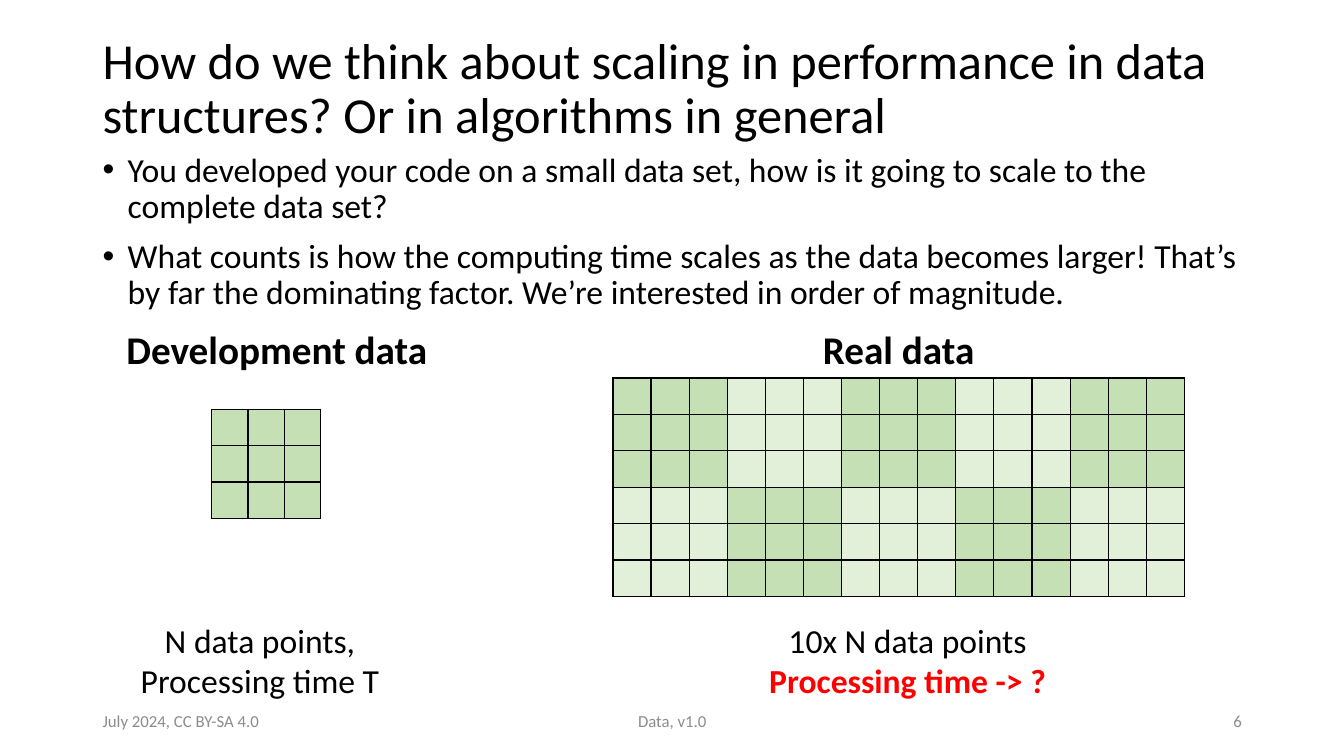
from dataclasses import dataclass

from lxml import etree
from pptx import Presentation
from pptx.dml import color
from pptx.enum import text
from pptx.oxml import ns
from pptx.util import Pt


@dataclass(frozen=True)
class Theme:
    """Colours and type sizes of the slide."""
    font: str = "Calibri"
    ink: str = "000000"
    muted: str = "8C8C8C"
    alert: str = "FF0000"
    dark_cell: str = "C5E0B4"
    light_cell: str = "E2F0D9"
    title: int = 36
    heading: int = 28
    body: int = 24
    footer: int = 12


THEME = Theme()
ALIGN = text.PP_ALIGN
MIDDLE = text.MSO_ANCHOR.MIDDLE
BLOCK = 3
ROW_HEIGHT = 26


def rgb(value):
    """Return a colour object for a hex value."""
    return color.RGBColor.from_string(value)


def apply(target, values):
    """Set each attribute named in values on target."""
    for name, value in values.items():
        setattr(target, name, value)


def add_bullet(paragraph, indent):
    """Give a paragraph a hanging round bullet."""
    properties = paragraph._p.get_or_add_pPr()
    properties.set("marL", str(Pt(indent)))
    properties.set("indent", str(-Pt(indent)))
    etree.SubElement(properties, ns.qn("a:buFont"), typeface="Arial")
    etree.SubElement(properties, ns.qn("a:buChar"), char="•")


def add_text(slide, box, lines, size, ink=THEME.ink, bold=False, align=ALIGN.LEFT,
             anchor=text.MSO_ANCHOR.TOP, spacing=1.0, before=0, bullet=0):
    """Place lines of text in a box and return the paragraphs."""
    frame = slide.shapes.add_textbox(*map(Pt, box)).text_frame
    apply(frame, {"word_wrap": True, "vertical_anchor": anchor})
    frame.text = "\n".join(lines)
    for index, paragraph in enumerate(frame.paragraphs):
        apply(paragraph, {"alignment": align, "line_spacing": spacing,
                          "space_before": Pt(before if index else 0)})
        if bullet:
            add_bullet(paragraph, bullet)
        for run in paragraph.runs:
            apply(run.font, {"name": THEME.font, "size": Pt(size), "bold": bold})
            run.font.color.rgb = rgb(ink)
    return frame.paragraphs


def add_borders(cell):
    """Draw a thin line on every side of a cell."""
    properties = cell._tc.get_or_add_tcPr()
    for side in ("lnL", "lnR", "lnT", "lnB"):
        line = etree.SubElement(properties, ns.qn(f"a:{side}"), w=str(Pt(1)))
        fill = etree.SubElement(line, ns.qn("a:solidFill"))
        etree.SubElement(fill, ns.qn("a:srgbClr"), val=THEME.ink)


def add_data_grid(slide, box, rows, columns):
    """Fill a box with a grid whose blocks alternate between two colours."""
    table = slide.shapes.add_table(rows, columns, *map(Pt, box)).table
    apply(table, {"first_row": False, "horz_banding": False})
    for row in range(rows):
        for column in range(columns):
            cell = table.cell(row, column)
            add_borders(cell)
            apply(cell, {"margin_left": 0, "margin_right": 0,
                         "margin_top": 0, "margin_bottom": 0})
            is_light = (row // BLOCK + column // BLOCK) % 2
            cell.fill.solid()
            cell.fill.fore_color.rgb = rgb(THEME.light_cell if is_light else THEME.dark_cell)


def add_introduction(slide, box):
    """Place the title and the bullet points."""
    left, top, width, height = box
    title_height = 71.3
    body_top = 77
    add_text(slide, (left, top, width, title_height),
             ["How do we think about scaling in performance in data structures? "
              "Or in algorithms in general"],
             THEME.title, anchor=MIDDLE, spacing=0.9)
    add_text(slide, (left, top + body_top, width, height - body_top),
             ["You developed your code on a small data set, how is it going to scale "
              "to the complete data set?",
              "What counts is how the computing time scales as the data becomes larger! "
              "That’s by far the dominating factor. We’re interested in order of magnitude."],
             THEME.body, spacing=0.9, before=10, bullet=18)


def add_development_data(slide, box):
    """Place the small data set with its heading and caption."""
    left, top, width, height = box
    add_text(slide, (left, top, width, 41), ["Development data "],
             THEME.heading, bold=True, align=ALIGN.CENTER)
    side = BLOCK * ROW_HEIGHT
    add_data_grid(slide, (left + 96.5, top + 63.3, side, side), BLOCK, BLOCK)
    add_text(slide, (left + 6.5, top + height - 65.5, 249, 65.5),
             ["N data points,", "Processing time T"], THEME.body, align=ALIGN.CENTER)


def add_real_data(slide, box):
    """Place the large data set with its heading and caption."""
    left, top, width, height = box
    rows, columns = 2 * BLOCK, 5 * BLOCK
    add_text(slide, (left, top, width, 41), ["Real data"],
             THEME.heading, bold=True, align=ALIGN.CENTER)
    add_data_grid(slide, (left, top + 41, width, rows * ROW_HEIGHT), rows, columns)
    caption = add_text(slide, (left + 6.4, top + height - 65.5, width, 65.5),
                       ["10x N data points", "Processing time -> ?"],
                       THEME.body, align=ALIGN.CENTER)
    question = caption[-1].runs[0].font
    question.bold = True
    question.color.rgb = rgb(THEME.alert)


def add_footer(slide, box):
    """Place the date, the subject and the slide number."""
    for line, align in (("July 2024, CC BY-SA 4.0", ALIGN.LEFT),
                        ("Data, v1.0", ALIGN.CENTER), ("6", ALIGN.RIGHT)):
        left, top, width, height = box
        third = width / 3
        position = {ALIGN.LEFT: 0, ALIGN.CENTER: 1, ALIGN.RIGHT: 2}[align]
        add_text(slide, (left + position * third, top, third, height), [line],
                 THEME.footer, ink=THEME.muted, align=align, anchor=MIDDLE)


def main():
    """Build the slide and save it."""
    presentation = Presentation()
    apply(presentation, {"slide_width": Pt(960), "slide_height": Pt(540)})
    slide = presentation.slides.add_slide(presentation.slide_layouts[6])
    add_introduction(slide, (66.2, 28.8, 828, 200))
    add_development_data(slide, (54.7, 229, 292.3, 275.7))
    add_real_data(slide, (437.8, 229, 408.3, 275.7))
    add_footer(slide, (66.2, 500.4, 828, 28.8))
    presentation.save("out.pptx")


if __name__ == "__main__":
    main()
